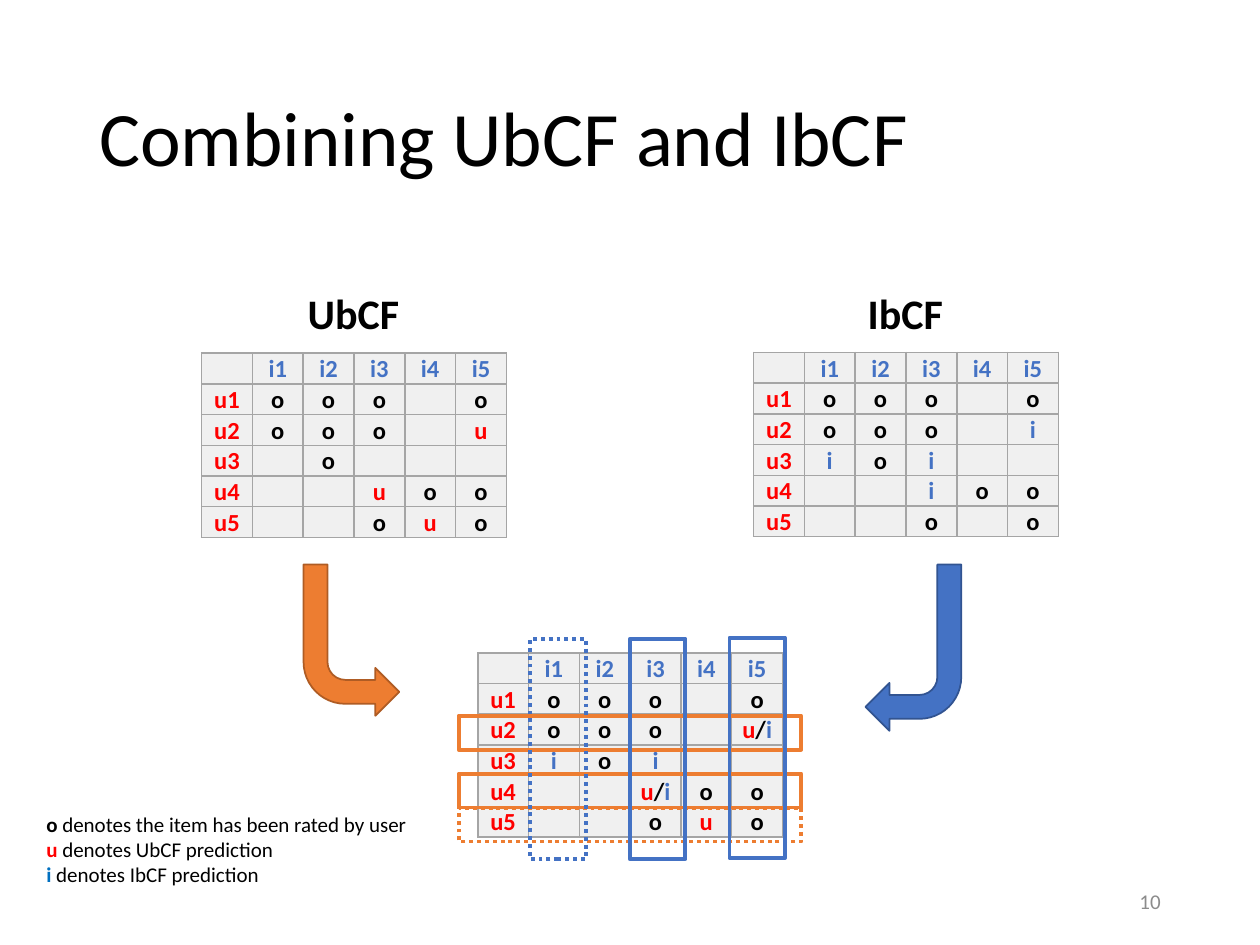
from lxml.etree import SubElement
from pptx import Presentation
from pptx.dml.color import RGBColor
from pptx.enum.dml import MSO_LINE
from pptx.enum.shapes import MSO_SHAPE
from pptx.enum.text import MSO_ANCHOR, PP_ALIGN
from pptx.oxml.ns import qn
from pptx.util import Pt

# Content
BLACK, RED, BLUE, ORANGE = "000000", "FF0000", "4472C4", "ED7D31"
LETTER_COLOURS = {"u": RED, "i": BLUE, "o": BLACK, "/": BLACK}
ITEMS = ["", "i1", "i2", "i3", "i4", "i5"]

# Each matrix: left, top, ratings of users u1 to u5
MATRICES = [
    (115.2, 201.8, [
        ["o", "o", "o", "", "o"],
        ["o", "o", "o", "", "u"],
        ["", "o", "", "", ""],
        ["", "", "u", "o", "o"],
        ["", "", "o", "u", "o"],
    ]),
    (430.6, 201.4, [
        ["o", "o", "o", "", "o"],
        ["o", "o", "o", "", "i"],
        ["i", "o", "i", "", ""],
        ["", "", "i", "o", "o"],
        ["", "", "o", "", "o"],
    ]),
    (273, 373, [
        ["o", "o", "o", "", "o"],
        ["o", "o", "o", "", "u/i"],
        ["i", "o", "i", "", ""],
        ["", "", "u/i", "o", "o"],
        ["", "", "o", "u", "o"],
    ]),
]
COLUMN_WIDTH, ROW_HEIGHT = 29.04, 17.52

# Headings: box, format, runs per paragraph as (text, colour, bold)
HEADING = {"size": 24, "align": PP_ALIGN.CENTER, "anchor": MSO_ANCHOR.BOTTOM, "spacing": 0.9}
TEXTS = [
    ((49.7, 28.8, 620.6, 104.4), {"size": 44, "anchor": MSO_ANCHOR.MIDDLE, "spacing": 0.9},
     [[("Combining UbCF and IbCF", BLACK, False)]]),
    ((49.7, 132.5, 304.6, 64.8), HEADING, [[("UbCF", BLACK, True)]]),
    ((364.3, 132.5, 306, 64.8), HEADING, [[("IbCF", BLACK, True)]]),
    ((508.3, 500.4, 162, 28.8),
     {"size": 12, "align": PP_ALIGN.RIGHT, "anchor": MSO_ANCHOR.MIDDLE},
     [[("10", "8C8C8C", False)]]),
    ((19.4, 460.1, 233.3, 51.1), {"size": 12}, [
        [("o ", BLACK, True), ("denotes the item has been rated by user", BLACK, False)],
        [("u ", RED, True), ("denotes UbCF prediction", BLACK, False)],
        [("i ", "0070C0", True), ("denotes IbCF prediction", BLACK, False)],
    ]),
]

# Frames around user rows (top) and item columns (left, top): last value is dotted
USER_FRAMES = [(409, False), (442.1, False), (461.5, True)]
ITEM_FRAMES = [(360, 365, False), (416.9, 364.3, False), (303.1, 365, True)]

# Arrows: box, fill, outline, mirrored
ARROWS = [
    ((494.6, 322.6, 54.7, 95), BLUE, "325491", False),
    ((173.5, 322.6, 54.7, 86.4), ORANGE, "AF5C24", True),
]


def colour(hex_value):
    return RGBColor.from_string(hex_value)


def points(values):
    return [Pt(value) for value in values]


def set_all(target, values):
    for name, value in values.items():
        setattr(target, name, value)


def add_run(paragraph, text, size, hex_value, bold):
    run = paragraph.add_run()
    run.text = text
    set_all(run.font, {"name": "Calibri", "size": Pt(size), "bold": bold})
    run.font.color.rgb = colour(hex_value)


def add_text(slide, box, style, paragraphs):
    frame = slide.shapes.add_textbox(*points(box)).text_frame
    set_all(frame, {"word_wrap": True,
                    "vertical_anchor": style.get("anchor", MSO_ANCHOR.TOP)})
    for index, runs in enumerate(paragraphs):
        paragraph = frame.add_paragraph() if index else frame.paragraphs[0]
        set_all(paragraph, {"alignment": style.get("align", PP_ALIGN.LEFT),
                            "line_spacing": style.get("spacing", 1.0)})
        for text, hex_value, bold in runs:
            add_run(paragraph, text, style["size"], hex_value, bold)


def format_cell(cell, text):
    set_all(cell, {"margin_left": Pt(0.72), "margin_right": Pt(0.72),
                   "margin_top": Pt(0.72), "margin_bottom": 0,
                   "vertical_anchor": MSO_ANCHOR.MIDDLE})
    # Borders come before the fill in the cell properties
    properties = cell._tc.get_or_add_tcPr()
    for side in ("a:lnL", "a:lnR", "a:lnT", "a:lnB"):
        border = SubElement(properties, qn(side), w=str(Pt(1)))
        SubElement(SubElement(border, qn("a:solidFill")), qn("a:srgbClr"), val="A5A5A5")
    cell.fill.solid()
    cell.fill.fore_color.rgb = colour("F0F0F0")

    paragraph = cell.text_frame.paragraphs[0]
    paragraph.alignment = PP_ALIGN.CENTER
    for part in filter(None, text.partition("/")):
        add_run(paragraph, part, 14, LETTER_COLOURS[part[0]], True)
    if not text:
        # Keeps an empty cell from stretching its row
        SubElement(paragraph._p, qn("a:endParaRPr"), sz="1400")


def add_matrix(slide, left, top, ratings):
    rows = [ITEMS] + [[f"u{number}"] + row for number, row in enumerate(ratings, 1)]
    size = (COLUMN_WIDTH * len(ITEMS), ROW_HEIGHT * len(rows))
    matrix = slide.shapes.add_table(len(rows), len(ITEMS), *points((left, top) + size)).table
    set_all(matrix, {"first_row": False, "horz_banding": False})
    for row_index, row in enumerate(rows):
        for column_index, text in enumerate(row):
            format_cell(matrix.cell(row_index, column_index), text)


def add_outline(slide, preset, box, line_colour, line_width):
    shape = slide.shapes.add_shape(preset, *points(box))
    shape.shadow.inherit = False
    shape.fill.background()
    shape.line.color.rgb = colour(line_colour)
    shape.line.width = Pt(line_width)
    return shape


def add_frame(slide, box, line_colour, dotted):
    frame = add_outline(slide, MSO_SHAPE.RECTANGLE, box, line_colour, 2.25)
    if dotted:
        frame.line.dash_style = MSO_LINE.ROUND_DOT


def add_arrow(slide, box, fill, line_colour, mirrored):
    arrow = add_outline(slide, MSO_SHAPE.BENT_ARROW, box, line_colour, 1)
    arrow.fill.solid()
    arrow.fill.fore_color.rgb = colour(fill)
    arrow.rotation = 180
    if mirrored:
        arrow._element.spPr.get_or_add_xfrm().set("flipH", "1")


def main():
    deck = Presentation()
    set_all(deck, {"slide_width": Pt(720), "slide_height": Pt(540)})
    slide = deck.slides.add_slide(deck.slide_layouts[6])

    for text in TEXTS:
        add_text(slide, *text)
    for matrix in MATRICES:
        add_matrix(slide, *matrix)
    for top, dotted in USER_FRAMES:
        add_frame(slide, (262.1, top, 195.8, 19.4), ORANGE, dotted)
    for left, top, dotted in ITEM_FRAMES:
        add_frame(slide, (left, top, 31.7, 126), BLUE, dotted)
    for arrow in ARROWS:
        add_arrow(slide, *arrow)

    deck.save("out.pptx")


if __name__ == "__main__":
    main()
